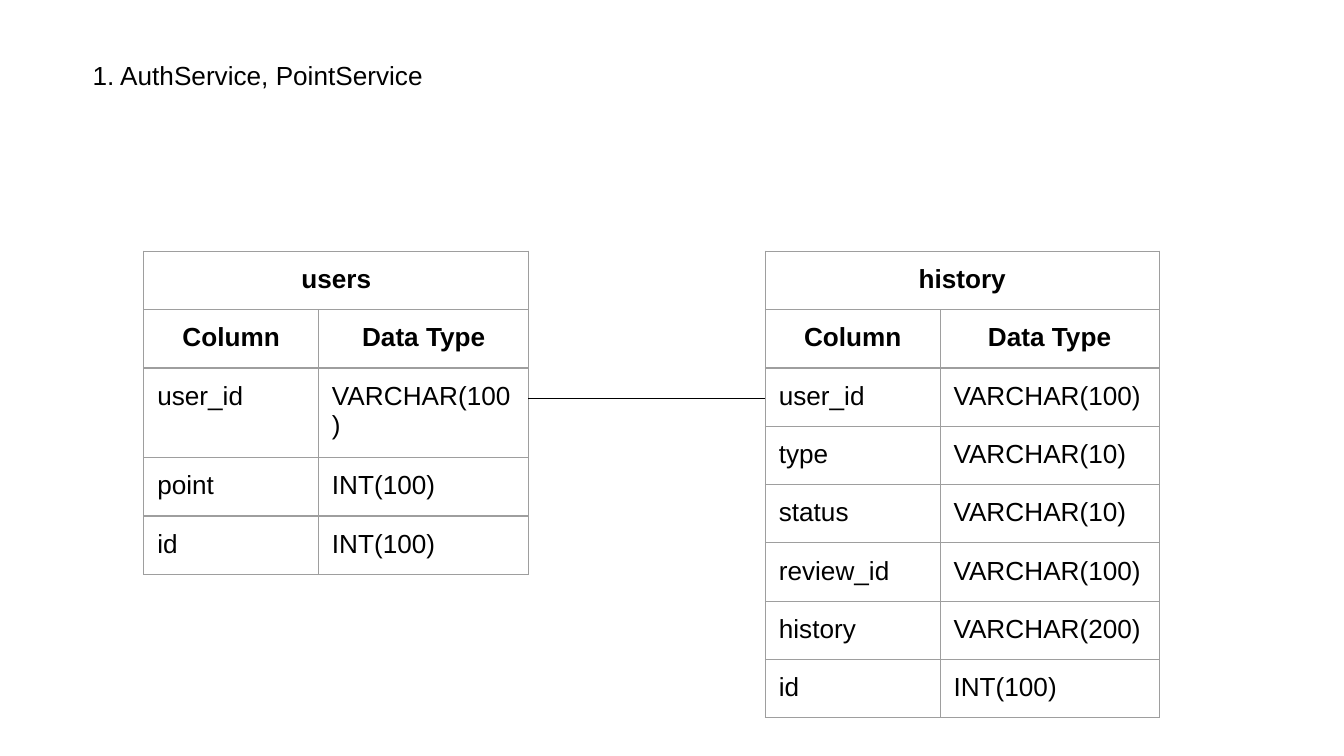
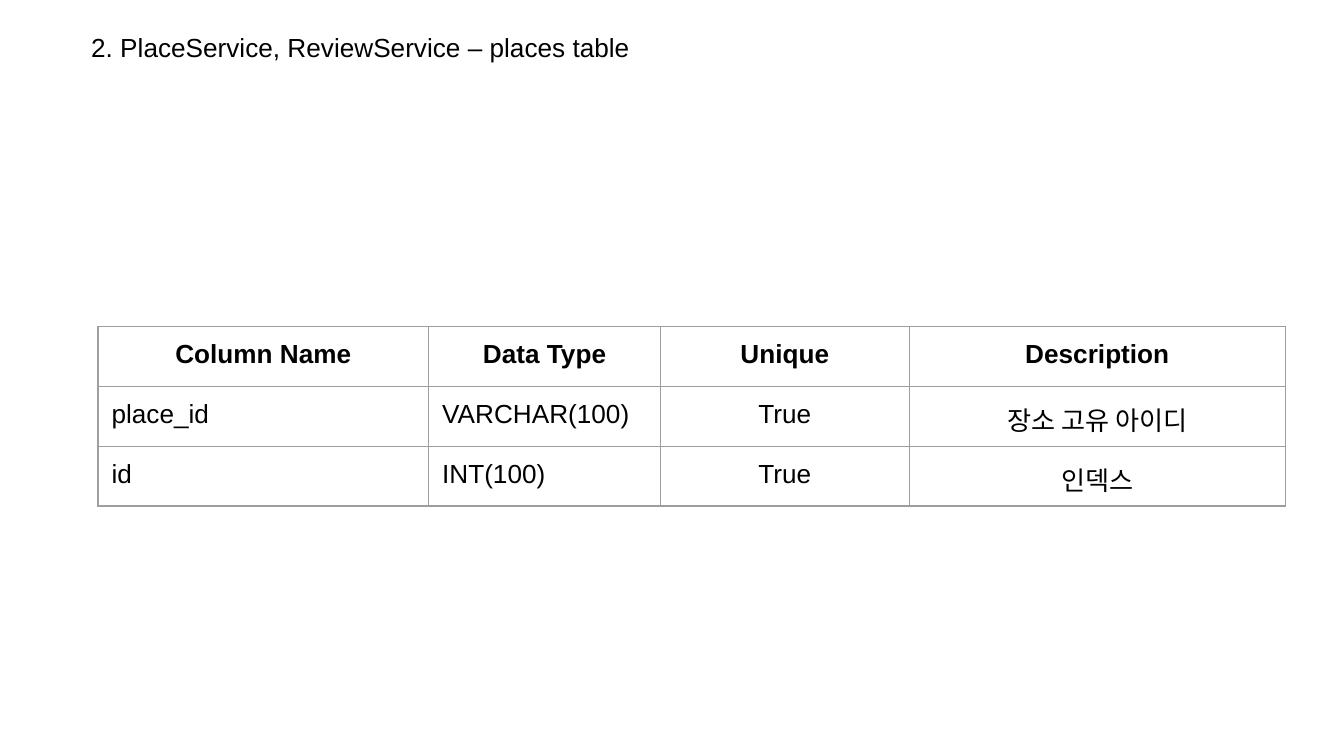
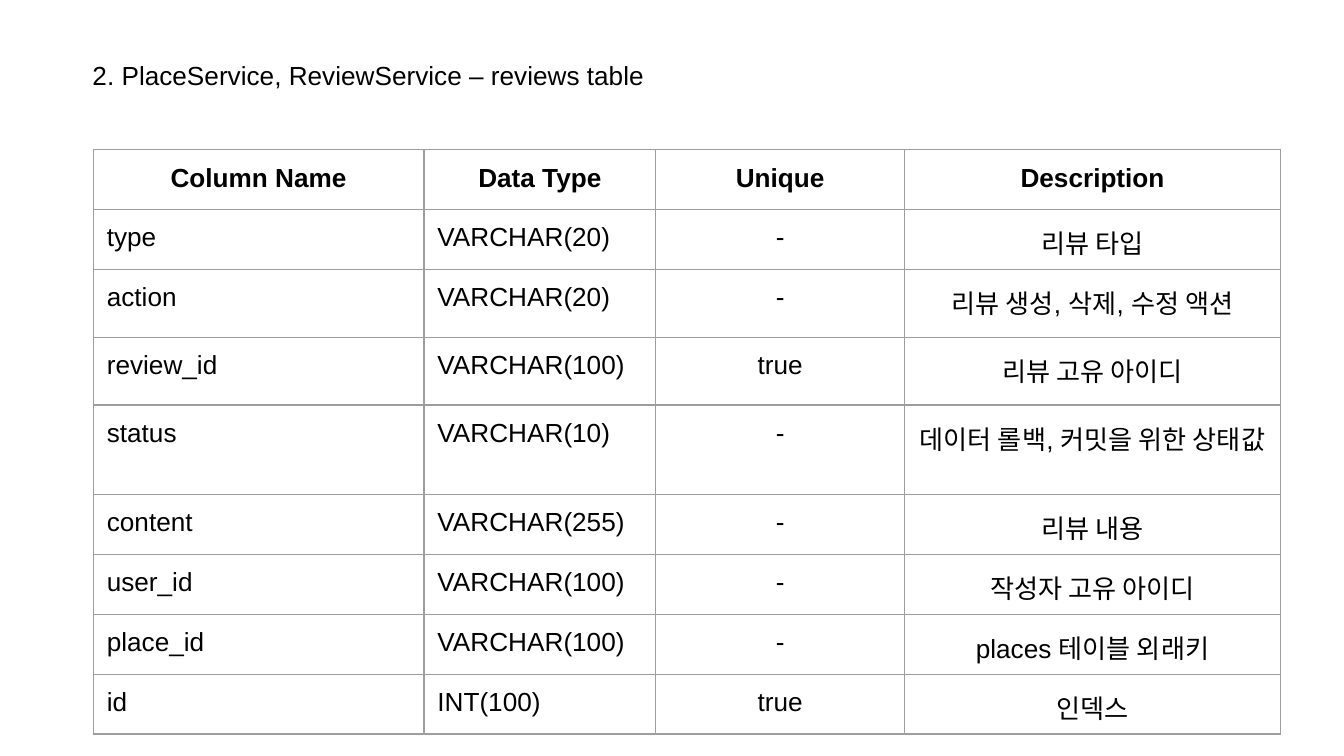
import pptx
import pptx.dml.color
import pptx.enum.shapes
import pptx.enum.text
import pptx.oxml
import pptx.oxml.ns
import pptx.util

PX = 4572
BLACK = pptx.dml.color.RGBColor(0x00, 0x00, 0x00)
WHITE = pptx.dml.color.RGBColor(0xFF, 0xFF, 0xFF)
GRID = pptx.dml.color.RGBColor(0x9E, 0x9E, 0x9E)
FONT = "Arial"
INSET = 20
ROW_H = 86
WIDE_ROW_H = 89
CENTER = pptx.enum.text.PP_ALIGN.CENTER
LEFT = pptx.enum.text.PP_ALIGN.LEFT
NS = pptx.oxml.ns.nsdecls("a")


def add_text(tf, text, bold=False, align=LEFT):
    tf.word_wrap = True
    p = tf.paragraphs[0]
    p.alignment = align
    r = p.add_run()
    r.text = text
    r.font.name = FONT
    r.font.size = pptx.util.Pt(14)
    r.font.bold = bold
    r.font.color.rgb = BLACK


def add_grid(s, x, y, widths, heights, rows, header_rows):
    frame = s.shapes.add_table(len(rows), len(widths), x * PX, y * PX,
                               sum(widths) * PX, sum(heights) * PX)
    table = frame.table
    table.first_row = False
    table.horz_banding = False
    for col, width in zip(table.columns, widths):
        col.width = width * PX
    for row, height in zip(table.rows, heights):
        row.height = height * PX
    for i, values in enumerate(rows):
        if len(values) == 1:
            table.cell(i, 0).merge(table.cell(i, len(widths) - 1))
        for j in range(len(widths)):
            cell = table.cell(i, j)
            cell.margin_left = cell.margin_right = INSET * PX
            cell.margin_top = cell.margin_bottom = INSET * PX
            cell.fill.background()
            for k, side in enumerate(("lnL", "lnR", "lnT", "lnB")):
                cell._tc.tcPr.insert(k, pptx.oxml.parse_xml(
                    f'<a:{side} {NS} w="9525"><a:solidFill><a:srgbClr val="{GRID}"/>'
                    f'</a:solidFill></a:{side}>'))
            if j < len(values):
                header = i < header_rows
                align = CENTER if header or j > 1 else LEFT
                add_text(cell.text_frame, values[j], header, align)


prs = pptx.Presentation()
prs.slide_width = 2000 * PX
prs.slide_height = 1125 * PX

slides = []
for title, x, y, w in [
    ("1. AuthService, PointService", 118, 68, 1216),
    ("2. PlaceService, ReviewService – places table", 116, 27, 1310),
    ("2. PlaceService, ReviewService – reviews table", 118, 68, 1294),
]:
    s = prs.slides.add_slide(prs.slide_layouts[6])
    s.background.fill.solid()
    s.background.fill.fore_color.rgb = WHITE
    tf = s.shapes.add_textbox(x * PX, y * PX, w * PX, 88 * PX).text_frame
    tf.margin_left = tf.margin_right = INSET * PX
    tf.margin_top = tf.margin_bottom = INSET * PX
    add_text(tf, title)
    tf.auto_size = pptx.enum.text.MSO_AUTO_SIZE.SHAPE_TO_FIT_TEXT
    slides.append(s)

schema_slide, places_slide, reviews_slide = slides

for x, type_width, name, columns in [
    (214, 313, "users", [
        ("user_id", "VARCHAR(100)"),
        ("point", "INT(100)"),
        ("id", "INT(100)"),
    ]),
    (1139, 326, "history", [
        ("user_id", "VARCHAR(100)"),
        ("type", "VARCHAR(10)"),
        ("status", "VARCHAR(10)"),
        ("review_id", "VARCHAR(100)"),
        ("history", "VARCHAR(200)"),
        ("id", "INT(100)"),
    ]),
]:
    rows = [(name,), ("Column", "Data Type")] + columns
    add_grid(schema_slide, x, 374, [260, type_width], [ROW_H] * len(rows), rows, 2)

relation = schema_slide.shapes.add_connector(
    pptx.enum.shapes.MSO_CONNECTOR.STRAIGHT, 786 * PX, 593 * PX, 1138 * PX, 593 * PX)
relation.line.color.rgb = BLACK
relation.line.width = pptx.util.Pt(0.75)
relation._element.spPr.append(pptx.oxml.parse_xml(f"<a:effectLst {NS}/>"))

wide_header = ("Column Name", "Data Type", "Unique", "Description")
wide_widths = [492, 345, 370, 560]

places = [
    wide_header,
    ("place_id", "VARCHAR(100)", "True", "장소 고유 아이디"),
    ("id", "INT(100)", "True", "인덱스"),
]
add_grid(places_slide, 146, 486, wide_widths, [WIDE_ROW_H] * len(places), places, 1)

reviews = [
    wide_header,
    ("type", "VARCHAR(20)", "-", "리뷰 타입"),
    ("action", "VARCHAR(20)", "-", "리뷰 생성, 삭제, 수정 액션"),
    ("review_id", "VARCHAR(100)", "true", "리뷰 고유 아이디"),
    ("status", "VARCHAR(10)", "-", "데이터 롤백, 커밋을 위한 상태값"),
    ("content", "VARCHAR(255)", "-", "리뷰 내용"),
    ("user_id", "VARCHAR(100)", "-", "작성자 고유 아이디"),
    ("place_id", "VARCHAR(100)", "-", "places 테이블 외래키"),
    ("id", "INT(100)", "true", "인덱스"),
]
review_heights = [WIDE_ROW_H] * 2 + [101] * 3 + [WIDE_ROW_H] * 4
add_grid(reviews_slide, 139, 223, wide_widths, review_heights, reviews, 1)

prs.save("out.pptx")
